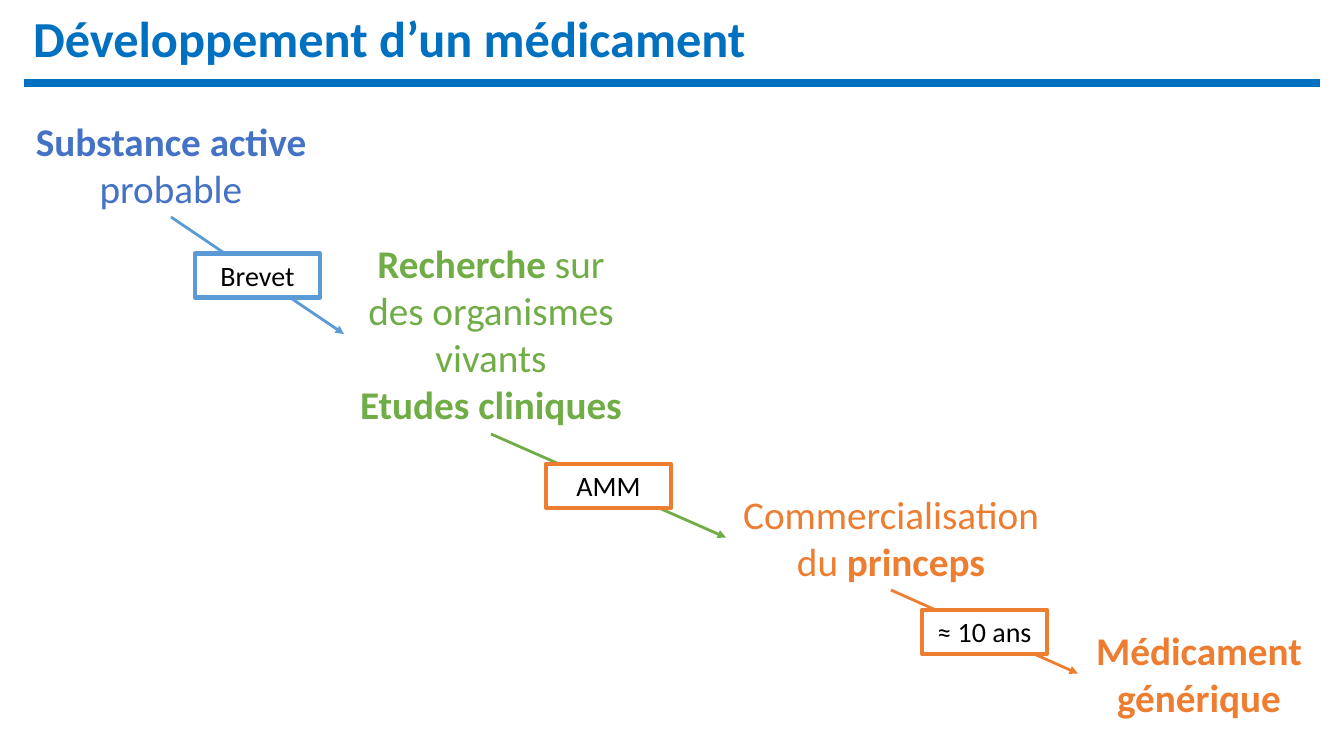
from lxml import etree
from pptx import Presentation
from pptx.dml.color import RGBColor
from pptx.enum.shapes import MSO_CONNECTOR as Connector, MSO_SHAPE as Shape
from pptx.enum.text import MSO_ANCHOR as Anchor, MSO_AUTO_SIZE as AutoSize, PP_ALIGN as Align
from pptx.oxml.ns import qn
from pptx.util import Pt

# Content: a paragraph is a list of (text, bold) runs
TITLE = [[("Développement d’un médicament", True)]]
STAGES = [  # left, top, width, height (px), colour, paragraphs
    (24, 112, 294, 105, "4472C4",
     [[("Substance active ", True), ("probable", False)]]),
    (344, 234, 294, 200, "70AD47",
     [[("Recherche", True), (" sur des organismes vivants", False)],
      [("Etudes cliniques", True)]]),
    (726, 485, 330, 105, "ED7D31",
     [[("Commercialisation du ", False), ("princeps", True)]]),
    (1078, 621, 242, 105, "ED7D31",
     [[("Médicament générique", True)]]),
]
STEPS = [  # label, arrow colour, border colour
    ("Brevet", "5B9BD5", "5B9BD5"),
    ("AMM", "70AD47", "ED7D31"),
    ("≈ 10 ans", "ED7D31", "ED7D31"),
]
BLUE = "0070C0"
SLIDE_WIDTH, SLIDE_HEIGHT = 1344, 756
LABEL_WIDTH, LABEL_HEIGHT = 125, 44
BOTTOM_SIDE, LEFT_SIDE = 2, 1


def px(length):
    return round(length * 914400 / 100.8)


def colour(value):
    return RGBColor.from_string(value)


def write_text(shape, paragraphs, size, text_colour, align=Align.CENTER, spacing=1.0):
    frame = shape.text_frame
    frame.word_wrap = True
    for index, runs in enumerate(paragraphs):
        paragraph = frame.paragraphs[0] if index == 0 else frame.add_paragraph()
        paragraph.alignment = align
        paragraph.line_spacing = spacing
        for text, bold in runs:
            run = paragraph.add_run()
            run.text = text
            run.font.name = "Calibri"
            run.font.size = Pt(size)
            run.font.bold = bold
            run.font.color.rgb = colour(text_colour)


def add_line(slide, start, end, line_colour, width, arrow=False):
    connector = slide.shapes.add_connector(
        Connector.STRAIGHT, *[px(value) for value in (*start, *end)])
    connector.line.color.rgb = colour(line_colour)
    connector.line.width = Pt(width)
    if arrow:
        line = connector.line._get_or_add_ln()
        etree.SubElement(line, qn("a:tailEnd"), type="triangle")
    etree.SubElement(connector._element.spPr, qn("a:effectLst"))
    return connector


presentation = Presentation()
presentation.slide_width = px(SLIDE_WIDTH)
presentation.slide_height = px(SLIDE_HEIGHT)
slide = presentation.slides.add_slide(presentation.slide_layouts[5])

# Title and rule
title = slide.shapes.title
title.left, title.top, title.width, title.height = 0, 0, px(SLIDE_WIDTH), px(83)
title.text_frame.auto_size = AutoSize.NONE
title.text_frame.vertical_anchor = Anchor.MIDDLE
title.text_frame.margin_left = px(33)
write_text(title, TITLE, 36, BLUE, align=Align.LEFT, spacing=0.9)
add_line(slide, (24, 83), (1320, 83), BLUE, 6)

# Stages
stage_boxes = []
for left, top, width, height, text_colour, paragraphs in STAGES:
    box = slide.shapes.add_textbox(px(left), px(top), px(width), px(height))
    write_text(box, paragraphs, 28, text_colour)
    stage_boxes.append(box)

# Arrows from one stage to the next, each with a label at its middle
for index, (label, arrow_colour, border_colour) in enumerate(STEPS):
    left, top, width, height = STAGES[index][:4]
    next_left, next_top, _, next_height = STAGES[index + 1][:4]
    start = (left + width / 2, top + height)
    end = (next_left, next_top + next_height / 2)
    arrow = add_line(slide, start, end, arrow_colour, 2, arrow=True)
    arrow.begin_connect(stage_boxes[index], BOTTOM_SIDE)
    arrow.end_connect(stage_boxes[index + 1], LEFT_SIDE)

    label_box = slide.shapes.add_shape(
        Shape.RECTANGLE,
        px((start[0] + end[0] - LABEL_WIDTH) / 2),
        px((start[1] + end[1] - LABEL_HEIGHT) / 2),
        px(LABEL_WIDTH), px(LABEL_HEIGHT))
    label_box.shadow.inherit = False
    label_box.fill.solid()
    label_box.fill.fore_color.rgb = colour("FFFFFF")
    label_box.line.color.rgb = colour(border_colour)
    label_box.line.width = Pt(3)
    write_text(label_box, [[(label, False)]], 20, "000000")

presentation.save("out.pptx")
